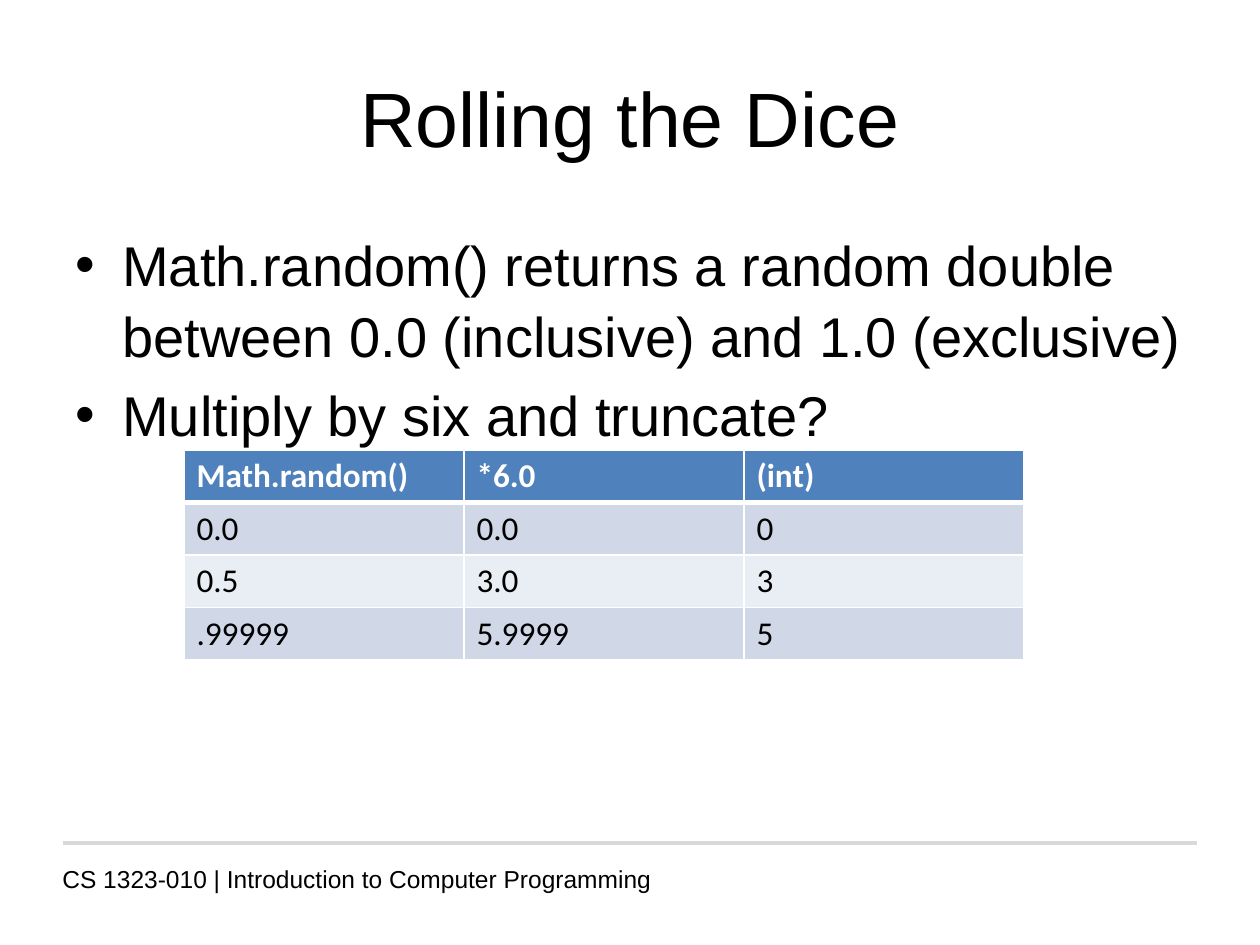
from lxml.etree import SubElement
from pptx import Presentation
from pptx.dml.color import RGBColor as Rgb
from pptx.enum.shapes import MSO_CONNECTOR as Connector
from pptx.enum.text import MSO_ANCHOR as Anchor, PP_ALIGN as Align
from pptx.oxml.ns import qn
from pptx.util import Emu, Pt

EMU_PER_PX = 914400 / 126
COLORS = {
    "text": "000000",
    "header_text": "FFFFFF",
    "header": "4F81BD",
    "odd_row": "D0D8E8",
    "even_row": "E9EDF4",
    "border": "FFFFFF",
    "rule": "D9D9D9",
}
FONTS = {
    "title": {"name": "Arial", "size": Pt(44), "bold": False},
    "bullets": {"name": "Arial", "size": Pt(32)},
    "footer": {"name": "Arial", "size": Pt(14)},
    "header": {"name": "Calibri", "size": Pt(19), "bold": True},
    "values": {"name": "Calibri", "size": Pt(19), "bold": False},
}
BULLETS = [
    "Math.random() returns a random double between 0.0 (inclusive) and 1.0 (exclusive)",
    "Multiply by six and truncate?",
]
ROLLS = [
    ["Math.random()", "*6.0", "(int)"],
    ["0.0", "0.0", "0"],
    ["0.5", "3.0", "3"],
    [".99999", "5.9999", "5"],
]


def px(length):
    return Emu(round(length * EMU_PER_PX))


def rgb(color):
    return Rgb.from_string(COLORS[color])


def apply(target, values):
    for attribute, value in values.items():
        setattr(target, attribute, value)


def style_font(paragraph, role, color="text"):
    apply(paragraph.font, FONTS[role])
    paragraph.font.color.rgb = rgb(color)


def place_title(slide, left, top, width, height):
    title = slide.shapes.title
    apply(title, {"left": px(left), "top": px(top),
                  "width": px(width), "height": px(height)})
    title.text_frame.text = "Rolling the Dice"
    apply(title.text_frame, {"vertical_anchor": Anchor.MIDDLE, "word_wrap": True})
    heading = title.text_frame.paragraphs[0]
    heading.alignment = Align.CENTER
    style_font(heading, "title")


def add_bullets(slide, left, top, width, height):
    body = slide.shapes.add_textbox(*map(px, (left, top, width, height))).text_frame
    body.word_wrap = True
    body.text = "\n".join(BULLETS)
    for index, point in enumerate(body.paragraphs):
        apply(point, {"line_spacing": 1.05, "space_before": Pt(5 if index else 0)})
        properties = point._p.get_or_add_pPr()
        properties.set("marL", str(px(47)))
        properties.set("indent", str(-px(47)))
        SubElement(properties, qn("a:buFont"), typeface="Arial")
        SubElement(properties, qn("a:buChar"), char="•")
        style_font(point, "bullets")


def add_borders(cell, bottom):
    properties = cell._tc.get_or_add_tcPr()
    widths = {"lnL": 1, "lnR": 1, "lnT": 1, "lnB": bottom}
    for position, (side, width) in enumerate(widths.items()):
        line = SubElement(properties, qn(f"a:{side}"), w=str(Pt(width)))
        fill = SubElement(line, qn("a:solidFill"))
        SubElement(fill, qn("a:srgbClr"), val=COLORS["border"])
        properties.insert(position, line)


def add_rolls(slide, left, top, width, height):
    box = map(px, (left, top, width, height))
    table = slide.shapes.add_table(len(ROLLS), len(ROLLS[0]), *box).table
    for row, values in enumerate(ROLLS):
        if row == 0:
            role, color, fill = "header", "header_text", "header"
        else:
            role, color = "values", "text"
            fill = "odd_row" if row % 2 else "even_row"
        for column, value in enumerate(values):
            cell = table.cell(row, column)
            cell.text = value
            cell.fill.solid()
            cell.fill.fore_color.rgb = rgb(fill)
            style_font(cell.text_frame.paragraphs[0], role, color)
            add_borders(cell, 1 if row else 3)


def add_footer(slide, left, top, width, height):
    rule = slide.shapes.add_connector(
        Connector.STRAIGHT, px(left), px(top), px(left + width), px(top))
    rule.line.color.rgb = rgb("rule")
    rule.line.width = Pt(2)
    SubElement(rule._element.spPr, qn("a:effectLst"))
    course = slide.shapes.add_textbox(
        px(left - 13), px(top + 15), px(width), px(height - 15)).text_frame
    course.word_wrap = True
    course.text = "CS 1323-010 | Introduction to Computer Programming"
    style_font(course.paragraphs[0], "footer")


def main():
    deck = Presentation()
    apply(deck, {"slide_width": px(1260), "slide_height": px(945)})
    slide = deck.slides.add_slide(deck.slide_layouts.get_by_name("Title Only"))
    add_footer(slide, 63, 843, 1134, 50)
    place_title(slide, 63, 38, 1134, 157)
    add_bullets(slide, 63, 221, 1134, 624)
    add_rolls(slide, 184, 450, 840, 210)
    deck.save("out.pptx")


if __name__ == "__main__":
    main()
